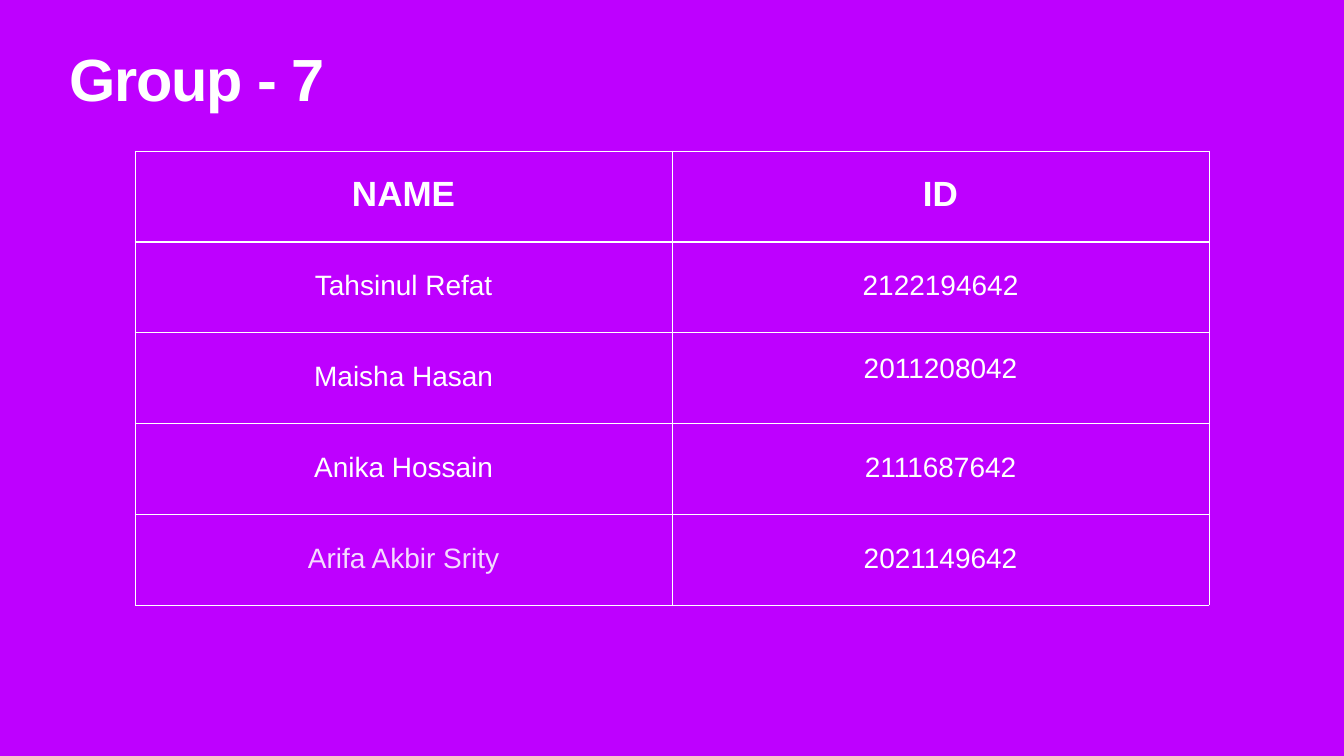
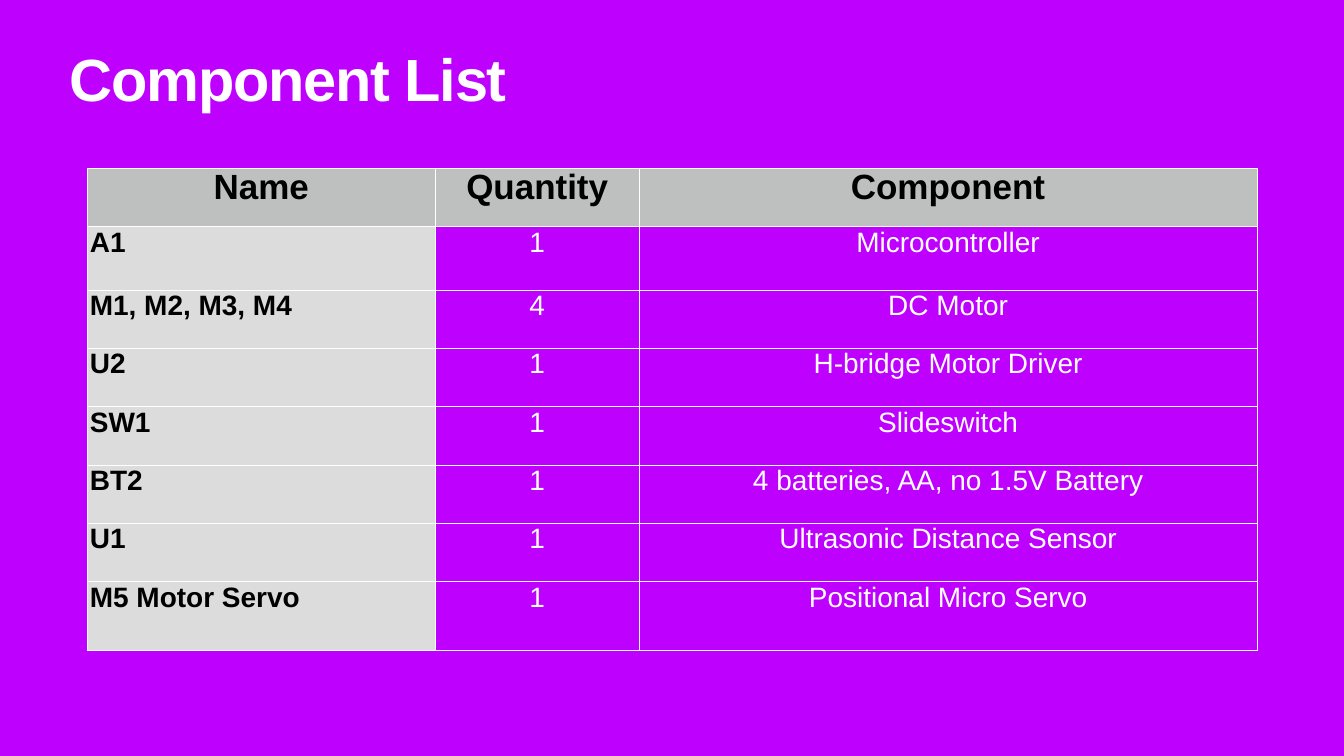
from dataclasses import dataclass

from lxml import etree
from pptx import Presentation
from pptx.dml.color import RGBColor
from pptx.enum.text import MSO_ANCHOR, MSO_AUTO_SIZE, PP_ALIGN
from pptx.oxml.ns import qn
from pptx.slide import Slide
from pptx.table import _Cell
from pptx.util import Cm, Length, Pt

LEFT, CENTER = PP_ALIGN.LEFT, PP_ALIGN.CENTER
TOP, MIDDLE = MSO_ANCHOR.TOP, MSO_ANCHOR.MIDDLE
NO_AUTOFIT = MSO_AUTO_SIZE.NONE

PURPLE = RGBColor(0xBE, 0x00, 0xFF)
WHITE = RGBColor(0xFF, 0xFF, 0xFF)
BLACK = RGBColor(0x00, 0x00, 0x00)
HEADER_GREY = RGBColor(0xBE, 0xC0, 0xBF)
LABEL_GREY = RGBColor(0xDC, 0xDC, 0xDC)

FONT = "Arial"
INSET = Cm(0.15)
TITLE_ONLY = 5


@dataclass
class CellStyle:
    size: int
    color: RGBColor
    bold: bool = False
    align: PP_ALIGN = CENTER
    anchor: MSO_ANCHOR = TOP
    fill: RGBColor | None = None
    bottom_line: int = 1


@dataclass
class TableSpec:
    left: Length
    top: Length
    widths: list[Length]
    heights: list[Length]
    rows: list[tuple[str, ...]]
    header: CellStyle
    label: CellStyle
    value: CellStyle

    def style_at(self, row: int, column: int) -> CellStyle:
        if row == 0:
            return self.header
        return self.label if column == 0 else self.value


MEMBER = CellStyle(40, WHITE, anchor=MIDDLE)
MEMBERS = TableSpec(
    left=Cm(6.81),
    top=Cm(7.6),
    widths=[Cm(27.06)] * 2,
    heights=[Cm(4.58)] * 5,
    rows=[
        ("NAME", "ID"),
        ("Tahsinul Refat", "2122194642"),
        ("Maisha Hasan", "2011208042"),
        ("Anika Hossain", "2111687642"),
        ("Arifa Akbir Srity", "2021149642"),
    ],
    header=CellStyle(50, WHITE, bold=True, anchor=MIDDLE, bottom_line=3),
    label=MEMBER,
    value=MEMBER,
)

COMPONENTS = TableSpec(
    left=Cm(4.38),
    top=Cm(8.48),
    widths=[Cm(17.58), Cm(10.24), Cm(31.17)],
    heights=[Cm(2.94), Cm(3.2), *[Cm(2.94)] * 5, Cm(3.43)],
    rows=[
        ("Name", "Quantity", "Component"),
        ("A1", "1", "Microcontroller"),
        ("M1, M2, M3, M4", "4", "DC Motor"),
        ("U2", "1", "H-bridge Motor Driver"),
        ("SW1", "1", "Slideswitch"),
        ("BT2", "1", "4 batteries, AA, no 1.5V Battery"),
        ("U1", "1", "Ultrasonic Distance Sensor"),
        ("M5 Motor Servo", "1", "Positional Micro Servo"),
    ],
    header=CellStyle(50, BLACK, bold=True, fill=HEADER_GREY),
    label=CellStyle(40, BLACK, bold=True, align=LEFT, fill=LABEL_GREY),
    value=CellStyle(40, WHITE),
)


def add_page(deck: Presentation, title: str) -> Slide:
    page = deck.slides.add_slide(deck.slide_layouts[TITLE_ONLY])
    box = page.shapes.title
    box.left, box.top, box.width, box.height = Cm(3.35), Cm(2.64), Cm(61.04), Cm(3.99)
    frame = box.text_frame
    frame.text = title
    frame.auto_size = NO_AUTOFIT
    frame.word_wrap = True
    frame.vertical_anchor = TOP
    frame.margin_left = frame.margin_right = INSET
    frame.margin_top = frame.margin_bottom = INSET
    para = frame.paragraphs[0]
    para.alignment = LEFT
    para.line_spacing = 0.8
    span = para.runs[0]
    span.font.name = FONT
    span.font.size = Pt(85)
    span.font.bold = True
    span.font.color.rgb = WHITE
    span.font._element.set("spc", "-170")
    return page


def add_borders(cell: _Cell, bottom_line: int) -> None:
    properties = cell._tc.get_or_add_tcPr()
    for side, points in (("L", 1), ("R", 1), ("T", 1), ("B", bottom_line)):
        line = etree.SubElement(properties, qn(f"a:ln{side}"), w=str(Pt(points)))
        fill = etree.SubElement(line, qn("a:solidFill"))
        etree.SubElement(fill, qn("a:srgbClr"), val=str(WHITE))


def format_cell(cell: _Cell, text: str, style: CellStyle) -> None:
    add_borders(cell, style.bottom_line)
    if style.fill is None:
        cell.fill.background()
    else:
        cell.fill.solid()
        cell.fill.fore_color.rgb = style.fill
    cell.margin_left = cell.margin_right = INSET
    cell.margin_top = cell.margin_bottom = INSET
    cell.vertical_anchor = style.anchor
    cell.text_frame.text = text
    para = cell.text_frame.paragraphs[0]
    para.alignment = style.align
    para.line_spacing = 0.9
    font = para.runs[0].font
    font.name = FONT
    font.size = Pt(style.size)
    font.bold = style.bold
    font.color.rgb = style.color


def add_table(page: Slide, spec: TableSpec):
    table = page.shapes.add_table(
        len(spec.rows), len(spec.widths), spec.left, spec.top,
        sum(spec.widths), sum(spec.heights),
    ).table
    table.first_row = table.horz_banding = False
    for column, width in zip(table.columns, spec.widths):
        column.width = width
    for row, height in zip(table.rows, spec.heights):
        row.height = height
    for row, texts in enumerate(spec.rows):
        for column, text in enumerate(texts):
            format_cell(table.cell(row, column), text, spec.style_at(row, column))
    for column in range(len(spec.widths)):
        top_line = table.cell(1, column)._tc.tcPr.find(qn("a:lnT"))
        top_line.set("w", str(Pt(spec.header.bottom_line)))
    return table


def main() -> None:
    deck = Presentation()
    deck.slide_width, deck.slide_height = Cm(67.74), Cm(38.1)
    background = deck.slide_master.background.fill
    background.solid()
    background.fore_color.rgb = PURPLE

    members = add_table(add_page(deck, "Group - 7"), MEMBERS)
    members.cell(2, 1).text_frame.paragraphs[0].line_spacing = Pt(18)
    faded_name = members.cell(4, 0).text_frame.paragraphs[0].runs[0]
    color = faded_name.font._element.find(f".//{qn('a:srgbClr')}")
    etree.SubElement(color, qn("a:alpha"), val="85000")

    add_table(add_page(deck, "Component List"), COMPONENTS)
    deck.save("out.pptx")


if __name__ == "__main__":
    main()
